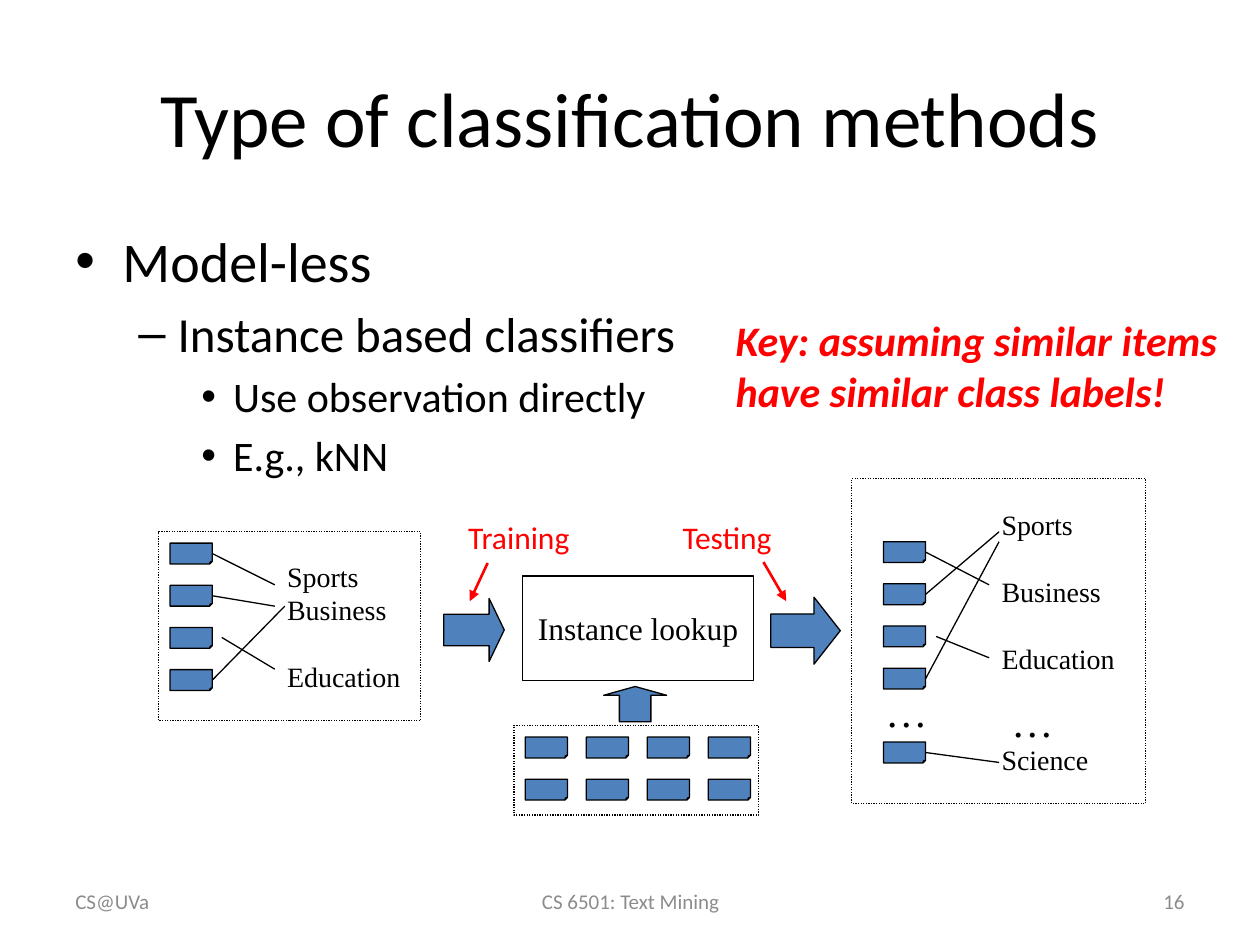
from dataclasses import dataclass

from lxml.etree import SubElement
from pptx import Presentation
from pptx.dml.color import RGBColor as Rgb
from pptx.enum.dml import MSO_LINE as Dash
from pptx.enum.shapes import MSO_CONNECTOR as Link, MSO_SHAPE as Kind
from pptx.enum.text import MSO_ANCHOR as Anchor, PP_ALIGN as Align
from pptx.oxml.ns import qn
from pptx.util import Cm, Pt


@dataclass(frozen=True)
class Theme:
    black: Rgb = Rgb(0, 0, 0)
    blue: Rgb = Rgb(0x4F, 0x81, 0xBD)
    red: Rgb = Rgb(0xFF, 0, 0)
    gray: Rgb = Rgb(0x8C, 0x8C, 0x8C)
    sans: str = "Calibri"
    serif: str = "Times New Roman"
    title: int = 44
    levels: tuple = (32, 28, 24)
    key: int = 24
    dots: int = 24
    note: int = 18
    label: int = 16
    pitch: float = 19.2  # line height of the class labels
    foot: int = 12
    thin: float = 0.75
    thick: float = 1.5


class Deck:
    card_w, card_h, step = 0.85, 0.42, 0.85

    def __init__(self, theme):
        self.theme = theme
        self.prs = Presentation()
        self.prs.slide_width, self.prs.slide_height = Cm(25.4), Cm(19.05)
        self.slide = self.prs.slides.add_slide(self.prs.slide_layouts[6])
        self.shapes = self.slide.shapes

    def style(self, para, size, color=None, face=None):
        font = para.font
        font.size = Pt(size)
        font.name = face or self.theme.sans
        font.color.rgb = color or self.theme.black
        return font

    def text(self, box, words, size, color=None, face=None,
             align=Align.LEFT, anchor=Anchor.TOP, wrap=True):
        frame = self.shapes.add_textbox(*map(Cm, box)).text_frame
        frame.word_wrap = wrap
        frame.vertical_anchor = anchor
        para = frame.paragraphs[0]
        para.text = words
        para.alignment = align
        return self.style(para, size, color, face)

    def bullets(self, box, items):
        marks = (("•", 0.95, 0.95), ("–", 2.06, 0.79), ("•", 3.18, 0.64))
        frame = self.shapes.add_textbox(*map(Cm, box)).text_frame
        frame.word_wrap = True
        for i, (level, words) in enumerate(items):
            para = frame.add_paragraph() if i else frame.paragraphs[0]
            para.text = words
            para.level = level
            mark, left, hang = marks[level]
            size = self.theme.levels[level]
            if i:
                para.space_before = Pt(size * 0.2)
            props = para._p.get_or_add_pPr()
            props.set("marL", str(Cm(left)))
            props.set("indent", str(-Cm(hang)))
            SubElement(props, qn("a:buFont"), typeface="Arial")
            SubElement(props, qn("a:buChar"), char=mark)
            self.style(para, size)

    def labels(self, box, items):
        """Class names, each with the number of lines skipped above it."""
        look = self.theme
        frame = self.shapes.add_textbox(*map(Cm, box)).text_frame
        frame.word_wrap = False
        for i, (skip, words) in enumerate(items):
            para = frame.add_paragraph() if i else frame.paragraphs[0]
            para.text = words
            para.line_spacing = Pt(look.pitch)
            if skip:
                para.space_before = Pt(skip * look.pitch)
            self.style(para, look.label, face=look.serif)

    def shape(self, kind, box, fill=None, dash=None, guides=None, turn=0):
        item = self.shapes.add_shape(kind, *map(Cm, box))
        item.shadow.inherit = False
        if fill is None:
            item.fill.background()
        else:
            item.fill.solid()
            item.fill.fore_color.rgb = fill
        item.line.color.rgb = self.theme.black
        item.line.width = Pt(self.theme.thin)
        if dash:
            item.line.dash_style = dash
        if guides:
            # The library lists no adjustments for up arrows
            geom = item._element.spPr.find(qn("a:prstGeom"))
            geom.rewrite_guides(guides)
        item.rotation = turn
        return item

    def frame(self, box):
        return self.shape(Kind.RECTANGLE, box, dash=Dash.ROUND_DOT)

    def arrow(self, kind, box, head, turn=0):
        return self.shape(kind, box, self.theme.blue, turn=turn,
                          guides=[("adj1", 50000), ("adj2", head)])

    def card(self, x, y):
        return self.shape(Kind.FOLDED_CORNER, (x, y, self.card_w, self.card_h),
                          self.theme.blue, guides=[("adj", 12500)])

    def stack(self, x, y, count):
        return [self.card(x, y + i * self.step) for i in range(count)]

    def line(self, start, end, color=None, width=None, head=False):
        """Start is a point, or a card to leave from its right side."""
        fixed = isinstance(start, tuple)
        link = self.shapes.add_connector(
            Link.STRAIGHT, *map(Cm, (start if fixed else end) + end))
        if not fixed:
            link.begin_connect(start, 3)
        link.line.color.rgb = color or self.theme.black
        link.line.width = Pt(width or self.theme.thin)
        if head:
            SubElement(link._element.spPr.find(qn("a:ln")), qn("a:tailEnd"),
                       type="triangle")
        SubElement(link._element.spPr, qn("a:effectLst"))

    def save(self):
        self.prs.save("out.pptx")


def main():
    look = Theme()
    deck = Deck(look)

    # Title, outline and key message
    deck.text((1.27, 0.76, 22.86, 3.18), "Type of classification methods",
              look.title, align=Align.CENTER, anchor=Anchor.MIDDLE)
    deck.bullets((1.27, 4.44, 22.86, 13.18), (
        (0, "Model-less"), (1, "Instance based classifiers"),
        (2, "Use observation directly"), (2, "E.g., kNN")))
    font = deck.text((14.58, 6.22, 10.21, 2.31),
                     "Key: assuming similar items have similar class labels!",
                     look.key, look.red)
    font.bold = font.italic = True

    # Training set
    deck.frame((3.2, 10.72, 5.28, 3.81))
    cards = deck.stack(3.43, 10.95, 4)
    ends = (5.54, 11.79), (5.54, 12.22), (5.74, 12.22)
    for card, end in zip((cards[0], cards[1], cards[3]), ends):
        deck.line(card, end)
    deck.line((4.47, 12.85), (5.54, 13.49))
    deck.labels((5.54, 11.15, 3, 2.97),
                ((0, "Sports"), (0, "Business"), (1, "Education")))

    # Test set
    deck.frame((17.17, 9.65, 5.92, 6.55))
    cards = deck.stack(17.81, 10.92, 4)
    last = deck.card(17.81, 14.96)
    ends = (19.94, 11.79), (20.14, 10.72), (20.14, 10.92), (20.14, 15.37)
    for card, end in zip((cards[0], cards[1], cards[3], last), ends):
        deck.line(card, end)
    deck.line((18.87, 12.83), (19.94, 13.26))
    deck.labels((19.94, 10.11, 2.79, 7.04),
                ((0, "Sports"), (1, "Business"), (1, "Education"),
                 (2, "Science")))
    for x, y in ((17.6, 13.69), (20.14, 13.89)):
        deck.text((x, y, 1.35, 1.27), "…", look.dots, face=look.serif,
                  wrap=False)

    # Lookup step and its block arrows
    lookup = deck.shape(Kind.RECTANGLE, (10.54, 11.61, 4.65, 2.11))
    lookup.text_frame.word_wrap = False
    lookup.text_frame.vertical_anchor = Anchor.MIDDLE
    para = lookup.text_frame.paragraphs[0]
    para.text = "Instance lookup"
    para.alignment = Align.CENTER
    deck.style(para, look.note, face=look.serif)
    deck.arrow(Kind.UP_ARROW, (8.92, 12.09, 1.27, 1.22), 25000, turn=90)
    deck.arrow(Kind.RIGHT_ARROW, (15.54, 12.04, 1.4, 1.35), 39200)
    deck.arrow(Kind.UP_ARROW, (12.17, 13.84, 1.27, 0.71), 25000)

    # Stored instances
    deck.frame((10.36, 14.63, 4.93, 1.8))
    for col in range(4):
        deck.stack(10.59 + col * 1.23, 14.86, 2)

    # Phase notes
    for words, x, wide, start, end in (
            ("Training", 9.19, 4.55, (9.83, 11.35), (9.47, 12.12)),
            ("Testing", 13.51, 2.54, (15.39, 11.33), (15.85, 12.12))):
        deck.text((x, 10.31, wide, 1.02), words, look.note, look.red)
        deck.line(start, end, look.red, look.thick, head=True)

    # Footer
    for words, x, wide, align in (
            ("CS@UVa", 1.27, 5.92, Align.LEFT),
            ("CS 6501: Text Mining", 8.69, 8.05, Align.CENTER),
            ("16", 18.21, 5.92, Align.RIGHT)):
        deck.text((x, 17.65, wide, 1.02), words, look.foot, look.gray,
                  align=align, anchor=Anchor.MIDDLE)

    deck.save()


if __name__ == "__main__":
    main()
